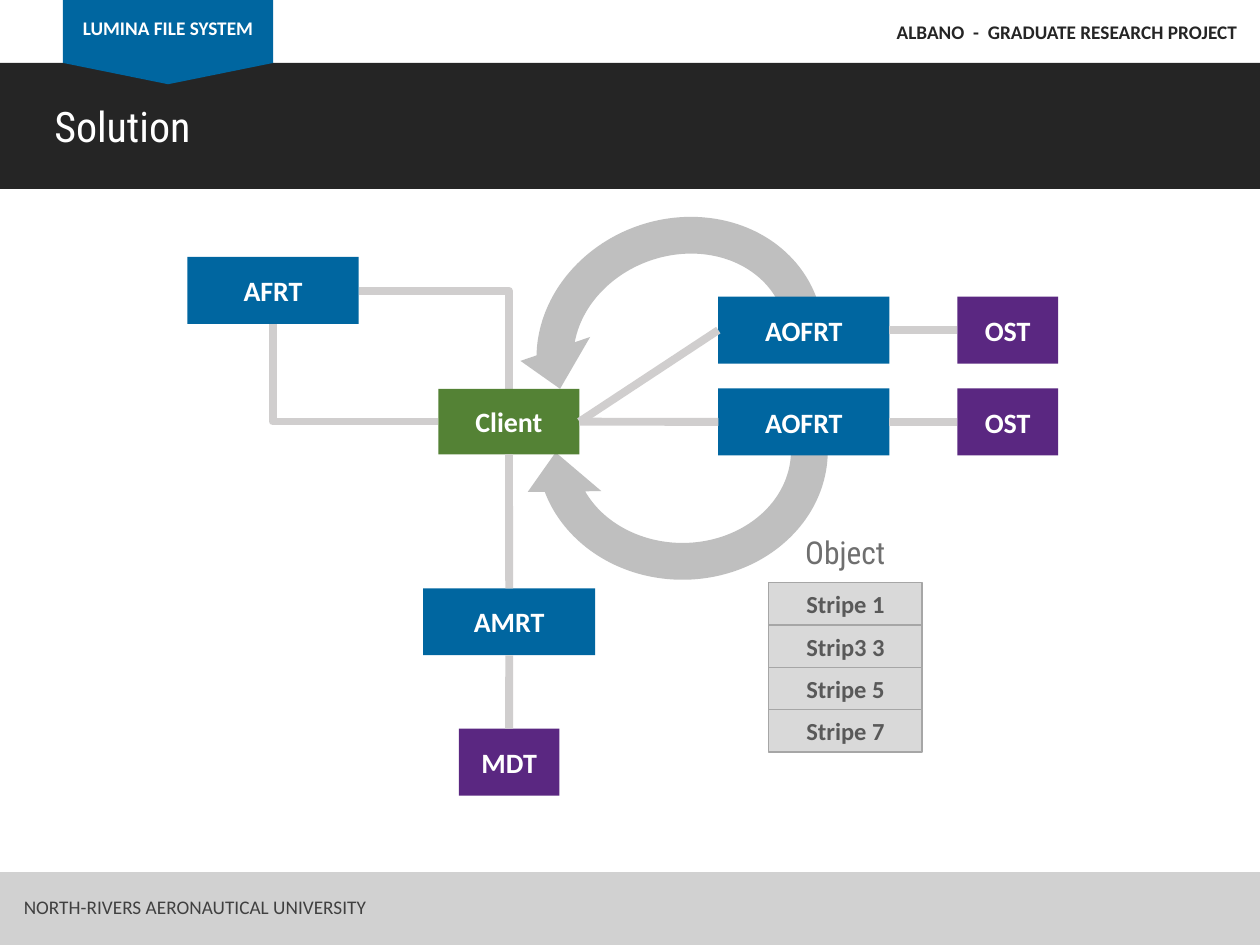
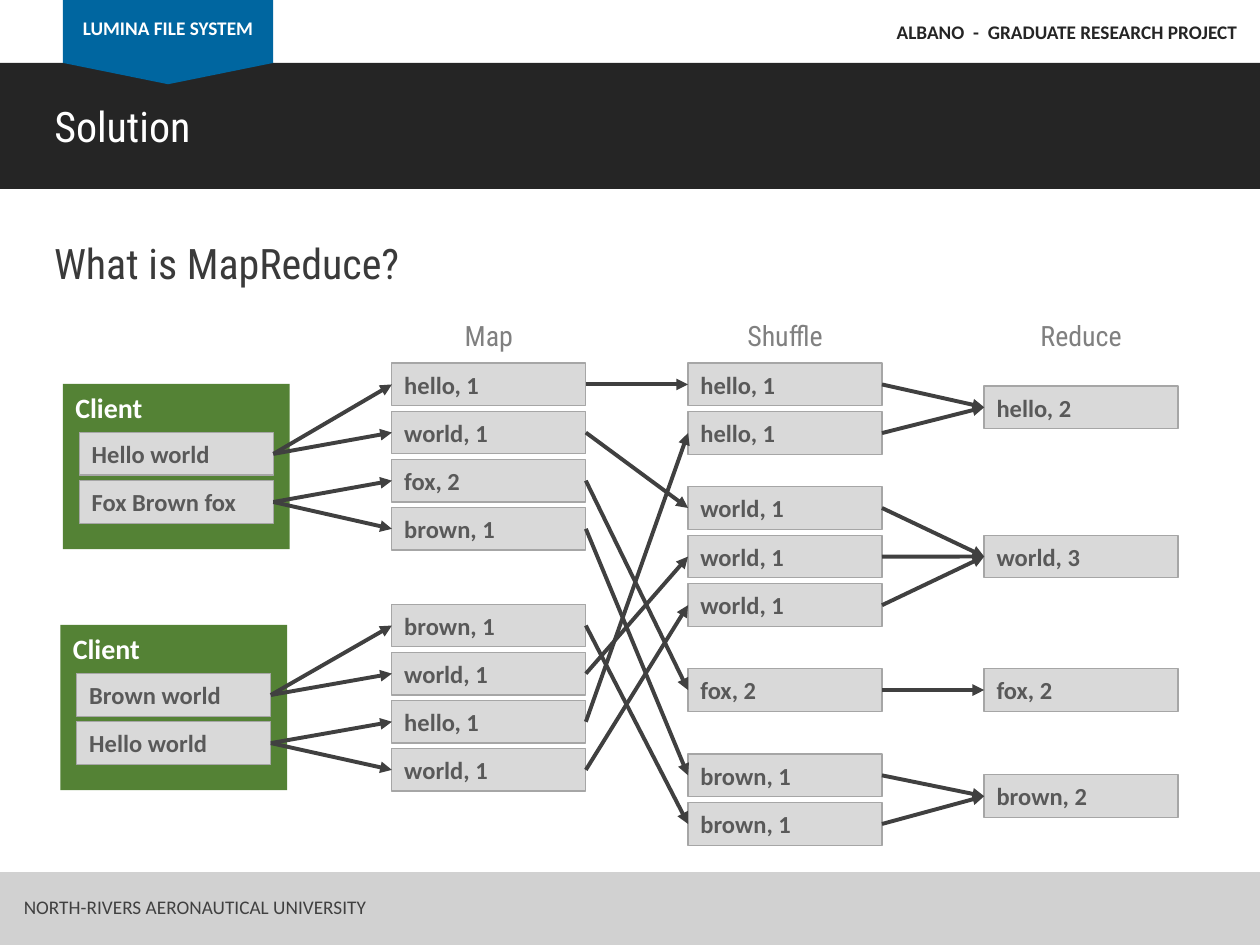
"""Build two slides on a parallel file system and its word-count flow."""
from lxml.etree import SubElement
from pptx import Presentation
from pptx.dml.color import RGBColor
from pptx.enum.shapes import MSO_CONNECTOR, MSO_SHAPE
from pptx.enum.text import MSO_ANCHOR, MSO_AUTO_SIZE, PP_ALIGN
from pptx.oxml.ns import qn
from pptx.util import Cm, Pt

WHITE = RGBColor(0xFF, 0xFF, 0xFF)
BLACK = RGBColor(0x25, 0x25, 0x25)
BLUE = RGBColor(0x00, 0x66, 0xA0)
PURPLE = RGBColor(0x5A, 0x27, 0x81)
GREEN = RGBColor(0x54, 0x82, 0x35)
FOOTER_GREY = RGBColor(0xD1, 0xD1, 0xD1)
LINK_GREY = RGBColor(0xD0, 0xCE, 0xCE)
LOOP_GREY = RGBColor(0xBF, 0xBF, 0xBF)
CELL_FILL = RGBColor(0xD9, 0xD9, 0xD9)
CELL_LINE = RGBColor(0xA6, 0xA6, 0xA6)
CELL_TEXT = RGBColor(0x59, 0x59, 0x59)
INK = RGBColor(0x40, 0x40, 0x40)
HEADING = RGBColor(0x3A, 0x3A, 0x3A)
OBJECT_GREY = RGBColor(0x6F, 0x6F, 0x6F)
COLUMN_GREY = RGBColor(0x80, 0x80, 0x80)

BODY_FONT = "Calibri"
HEAD_FONT = "Roboto Condensed"
TOP, LEFT, BOTTOM, RIGHT = range(4)
CELL_WIDTH, CELL_HEIGHT = 3.91, 0.86


def write(shape, text, size=16, color=WHITE, font=BODY_FONT, bold=False,
          align=PP_ALIGN.LEFT, anchor=MSO_ANCHOR.TOP, wrap=True, after=0):
    frame = shape.text_frame
    frame.auto_size = MSO_AUTO_SIZE.NONE
    frame.word_wrap = wrap
    frame.vertical_anchor = anchor
    para = frame.paragraphs[0]
    para.alignment = align
    para.space_after = Pt(after)
    span = para.add_run()
    span.text = text
    span.font.size = Pt(size)
    span.font.name = font
    span.font.bold = bold
    span.font.color.rgb = color


class Painter:
    def __init__(self):
        self.deck = Presentation()
        self.deck.slide_width, self.deck.slide_height = Cm(25.4), Cm(19.05)
        self.page = None

    def new_page(self, title):
        self.page = self.deck.slides.add_slide(self.deck.slide_layouts[5])
        self.shape(0, 1.27, 25.4, 2.54, BLACK)
        self.shape(1.27, 0, 4.24, 1.27, BLUE)
        self.label(1.27, 0.2, 4.24, 0.74, "LUMINA FILE SYSTEM", size=11,
                   bold=True, align=PP_ALIGN.CENTER)
        self.title(title)
        self.label(17.53, 0.28, 7.67, 0.74, "ALBANO  -  GRADUATE RESEARCH PROJECT",
                   size=11, color=BLACK, bold=True, align=PP_ALIGN.RIGHT)
        self.shape(1.27, 1.27, 4.24, 0.43, BLUE, MSO_SHAPE.ISOSCELES_TRIANGLE, flips="V")
        self.shape(0, 17.58, 25.4, 1.47, FOOTER_GREY)
        self.label(0.23, 17.93, 7.7, 0.74, "NORTH-RIVERS AERONAUTICAL UNIVERSITY",
                   size=11, color=INK, wrap=False)

    def title(self, text):
        title = self.page.shapes.title
        title.left, title.top, title.width, title.height = map(Cm, (0.84, 1.9, 11.86, 1.27))
        write(title, text, size=24, font=HEAD_FONT)
        title.element.getparent().append(title.element)

    def shape(self, left, top, width, height, fill, kind=MSO_SHAPE.RECTANGLE, flips=""):
        shape = self.page.shapes.add_shape(kind, *map(Cm, (left, top, width, height)))
        shape.shadow.inherit = False
        shape.fill.solid()
        shape.fill.fore_color.rgb = fill
        shape.line.fill.background()
        for axis in flips:
            shape.element.spPr.xfrm.set("flip" + axis, "1")
        return shape

    def label(self, left, top, width, height, text, **style):
        box = self.page.shapes.add_textbox(*map(Cm, (left, top, width, height)))
        write(box, text, **style)

    def node(self, left, top, width, text, fill, height=1.35):
        box = self.shape(left, top, width, height, fill)
        write(box, text, bold=True, align=PP_ALIGN.CENTER, anchor=MSO_ANCHOR.MIDDLE)
        return box

    def cell(self, left, top, text, width=CELL_WIDTH, align=PP_ALIGN.LEFT):
        box = self.shape(left, top, width, CELL_HEIGHT, CELL_FILL)
        box.line.color.rgb = CELL_LINE
        box.line.width = Pt(0.75)
        write(box, text, size=14, color=CELL_TEXT, bold=True, align=align,
              anchor=MSO_ANCHOR.MIDDLE)
        return box

    def loop(self, left, top, flips, rotation=0):
        loop = self.shape(left, top, 6.6, 5.94, LOOP_GREY, MSO_SHAPE.CIRCULAR_ARROW, flips)
        loop.rotation = rotation
        for index, value in enumerate((0.125, 11.03, 204.58, 108, 0.125)):
            loop.adjustments[index] = value

    def connector(self, kind, ends, color, width):
        line = self.page.shapes.add_connector(kind, *map(Cm, ends))
        line.line.color.rgb = color
        line.line.width = Pt(width)
        SubElement(line.element.spPr, qn("a:effectLst"))
        return line

    def link(self, start, start_side, end, end_side, color=LINK_GREY, width=4.5):
        line = self.connector(MSO_CONNECTOR.STRAIGHT, (0, 0, 0, 0), color, width)
        line.begin_connect(start, start_side)
        line.end_connect(end, end_side)
        return line

    def arrow(self, start, end):
        line = self.link(start, RIGHT, end, LEFT, INK, 2.25)
        SubElement(line.element.spPr.find(qn("a:ln")), qn("a:tailEnd"), type="triangle")

    def corner(self, *ends):
        line = self.connector(MSO_CONNECTOR.ELBOW, ends, LINK_GREY, 4.5)
        line.element.spPr.find(qn("a:prstGeom")).set("prst", "bentConnector2")


def draw_architecture(painter):
    painter.new_page("Solution")
    painter.loop(10.41, 4.04, "H", 340.4)
    painter.loop(10.46, 6.12, "HV")
    painter.corner(7.24, 5.86, 10.26, 7.85)
    painter.corner(8.84, 8.5, 5.5, 6.53)

    painter.node(3.78, 5.18, 3.45, "AFRT", BLUE)
    client = painter.node(8.84, 7.84, 2.84, "Client", GREEN, 1.32)
    metadata = painter.node(8.53, 11.86, 3.47, "AMRT", BLUE)
    target = painter.node(9.25, 14.69, 2.03, "MDT", PURPLE)
    painter.link(metadata, TOP, client, BOTTOM)
    painter.link(metadata, BOTTOM, target, TOP)
    for top in (5.98, 7.83):
        table = painter.node(14.48, top, 3.45, "AOFRT", BLUE)
        storage = painter.node(19.3, top, 2.03, "OST", PURPLE)
        painter.link(client, RIGHT, table, LEFT)
        painter.link(table, RIGHT, storage, LEFT)

    painter.label(15.62, 10.62, 2.84, 1.02, "Object", size=18, color=OBJECT_GREY,
                  font=HEAD_FONT, align=PP_ALIGN.CENTER)
    for row, text in enumerate(("Stripe 1", "Strip3 3", "Stripe 5", "Stripe 7")):
        painter.cell(15.5, 11.75 + 0.85 * row, text, 3.09, PP_ALIGN.CENTER)


def draw_map_reduce(painter):
    painter.new_page("Solution")
    painter.label(0.84, 4.67, 16.36, 1.27, "What is MapReduce?", size=24,
                  color=HEADING, font=HEAD_FONT)
    columns = [7.9 + 5.97 * index for index in range(3)]
    map_left, shuffle_left, reduce_left = columns
    for left, text in zip(columns, ("Map", "Shuffle", "Reduce")):
        painter.label(left, 6.3, CELL_WIDTH, 0.94, text, size=16, color=COLUMN_GREY,
                      font=HEAD_FONT, align=PP_ALIGN.CENTER, after=8)

    clients = (
        (1.27, 7.74, 7.32, (("Hello world", ("hello, 1", "world, 1")),
                            ("Fox Brown fox", ("fox, 2", "brown, 1")))),
        (1.22, 12.6, 12.18, (("Brown world", ("brown, 1", "world, 1")),
                             ("Hello world", ("hello, 1", "world, 1")))),
    )
    mapped = []
    for left, top, map_top, sentences in clients:
        client = painter.shape(left, top, 4.57, 3.33, GREEN)
        write(client, "Client", bold=True)
        for row, (sentence, pairs) in enumerate(sentences):
            source = painter.cell(left + 0.33, top + 0.98 + 0.97 * row, sentence)
            for offset, pair in enumerate(pairs):
                pair_top = map_top + 0.97 * (2 * row + offset)
                mapped.append(painter.cell(map_left, pair_top, pair))
                painter.arrow(source, mapped[-1])

    groups = (
        ("hello, 1", 2, 7.32, "hello, 2", 7.78),
        ("world, 1", 3, 9.81, "world, 3", 10.79),
        ("fox, 2", 1, 13.48, "fox, 2", 13.48),
        ("brown, 1", 2, 15.2, "brown, 2", 15.62),
    )
    shuffled = []
    for pair, count, top, total, total_top in groups:
        reduced = painter.cell(reduce_left, total_top, total)
        for row in range(count):
            shuffled.append(painter.cell(shuffle_left, top + 0.98 * row, pair))
            painter.arrow(shuffled[-1], reduced)

    for start, destination in zip(mapped, (0, 2, 5, 6, 7, 3, 1, 4)):
        painter.arrow(start, shuffled[destination])


def main():
    painter = Painter()
    draw_architecture(painter)
    draw_map_reduce(painter)
    painter.deck.save("out.pptx")


if __name__ == "__main__":
    main()
